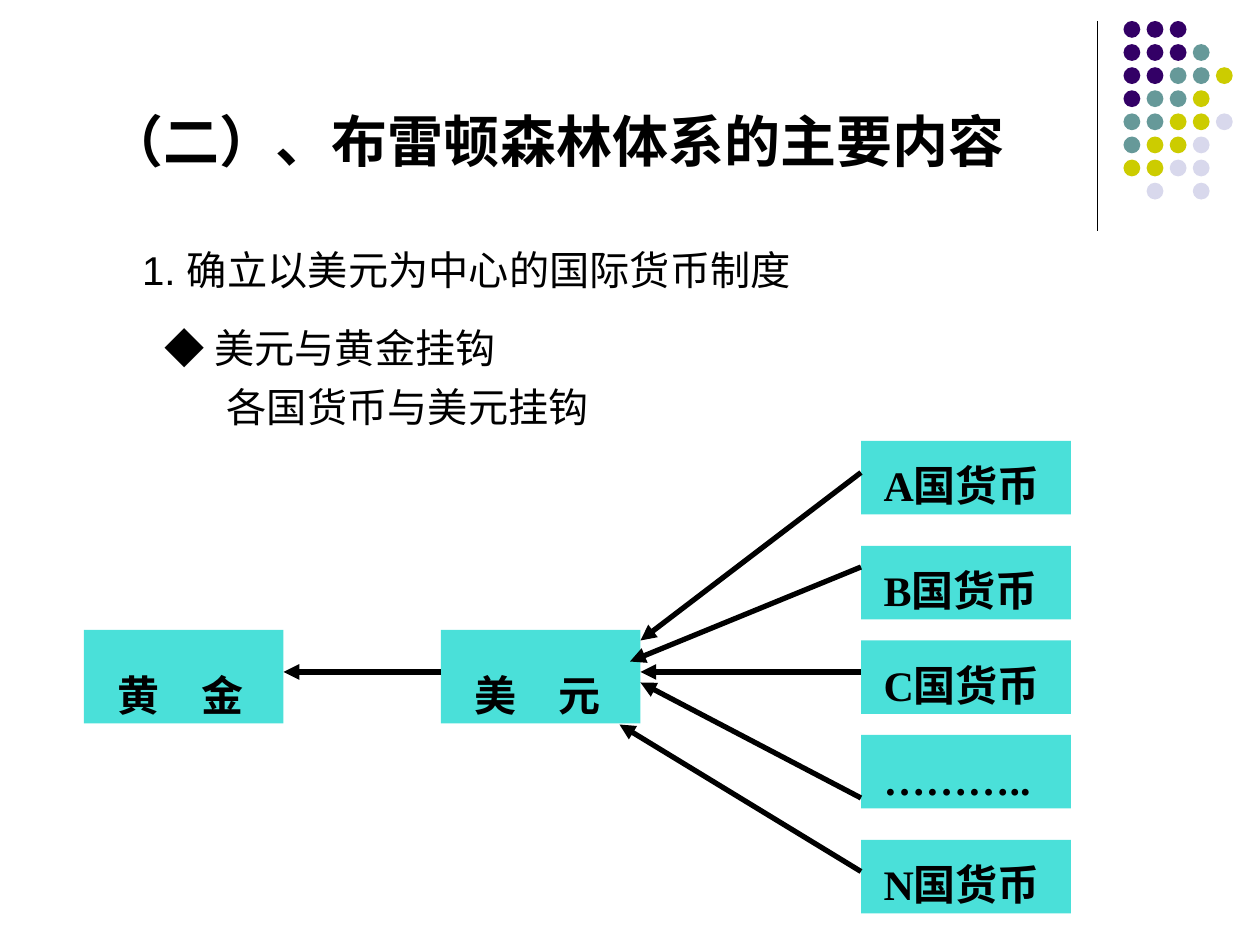
from lxml import etree
from pptx import Presentation
from pptx.dml.color import RGBColor
from pptx.enum.shapes import MSO_CONNECTOR, MSO_SHAPE
from pptx.enum.text import MSO_ANCHOR, PP_ALIGN
from pptx.oxml.ns import qn
from pptx.util import Inches, Pt

RECT, OVAL = MSO_SHAPE.RECTANGLE, MSO_SHAPE.OVAL
STRAIGHT = MSO_CONNECTOR.STRAIGHT
TOP, LEFT = MSO_ANCHOR.TOP, PP_ALIGN.LEFT

COLORS = {
    "ink": "000000",
    "box": "4AE0D9",
    "purple": "330066",
    "teal": "669999",
    "lime": "CCCC00",
    "pale": "D8D8EC",
}
SANS, JP, LATIN, SERIF = "Noto Sans CJK SC", "Noto Sans CJK JP", "Arial", "Times New Roman"
COLS, ROWS = 120, 90
DOT_COLORS = {"P": "purple", "T": "teal", "L": "lime", "W": "pale"}
DOTS = ["PPP", "PPPT", "PPTTL", "PTTL", "TTLLW", "TLLW", "LLWW", " W W"]


class Board:
    def __init__(self, prs):
        self.slide = prs.slides.add_slide(prs.slide_layouts[6])
        self.unit_x = prs.slide_width / COLS
        self.unit_y = prs.slide_height / ROWS

    def place(self, x, y, w, h):
        return (round(x * self.unit_x), round(y * self.unit_y),
                round(w * self.unit_x), round(h * self.unit_y))

    def color(self, name):
        return RGBColor.from_string(COLORS[name])

    def shape(self, kind, x, y, w, h, fill):
        sp = self.slide.shapes.add_shape(kind, *self.place(x, y, w, h))
        sp.shadow.inherit = False
        sp.fill.solid()
        sp.fill.fore_color.rgb = self.color(fill)
        sp.line.fill.background()
        return sp

    def frame(self, sp, left=0.1):
        tf = sp.text_frame
        tf.word_wrap = True
        tf.vertical_anchor = TOP
        tf.margin_left, tf.margin_right = Inches(left), 0
        tf.margin_top, tf.margin_bottom = Inches(0.07), 0
        return tf

    def set_text(self, p, text, size, font, bold=False, spacing=1):
        p.text = text
        p.alignment = LEFT
        p.line_spacing = Pt(round(size * 1.2 * spacing, 1))
        for r in p.runs:
            r.font.size = Pt(size)
            r.font.bold = bold
            r.font.color.rgb = self.color("ink")
            r.font.name = font
            ea = etree.SubElement(r._r.get_or_add_rPr(), qn("a:ea"))
            ea.set("typeface", JP if font == JP else SANS)

    def box(self, text, x, y, w, h, left, spacing):
        sp = self.shape(RECT, x, y, w, h, "box")
        p = self.frame(sp, left).paragraphs[0]
        self.set_text(p, text, 24, SERIF, True, spacing)

    def title(self, text, x, y, w, h):
        sp = self.slide.shapes.add_textbox(*self.place(x, y, w, h))
        p = self.frame(sp).paragraphs[0]
        self.set_text(p, text, 32, SANS, True, 1.2)

    def body(self, items, x, y, w, h):
        sp = self.slide.shapes.add_textbox(*self.place(x, y, w, h))
        tf = self.frame(sp)
        for i, (text, font, indent, before) in enumerate(items):
            p = tf.add_paragraph() if i else tf.paragraphs[0]
            self.set_text(p, text, 23, font)
            p.space_before = Pt(before)
            p._p.get_or_add_pPr().set("marL", str(Inches(indent)))

    def line(self, start, end, width, arrow=False):
        cn = self.slide.shapes.add_connector(STRAIGHT, *self.place(*start, *end))
        cn.line.color.rgb = self.color("ink")
        cn.line.width = Pt(width)
        sp_pr = cn._element.spPr
        if arrow:
            etree.SubElement(sp_pr.find(qn("a:ln")), qn("a:tailEnd"), type="triangle")
        etree.SubElement(sp_pr, qn("a:effectLst"))

    def dots(self, x, y, pitch, size):
        for row, marks in enumerate(DOTS):
            for col, mark in enumerate(marks):
                if mark in DOT_COLORS:
                    self.shape(OVAL, x + col * pitch, y + row * pitch,
                               size, size, DOT_COLORS[mark])


def main():
    prs = Presentation()
    prs.slide_width, prs.slide_height = Inches(10), Inches(7.5)
    board = Board(prs)

    board.line((104.5, 2), (104.5, 22), 0.75)
    board.dots(107, 2, 2.2, 1.6)
    board.title("（二）、布雷顿森林体系的主要内容", 9.1, 8, 87.8, 8.9)
    board.body([
        ("1. 确立以美元为中心的国际货币制度", LATIN, 0.53, 0),
        ("◆ 美元与黄金挂钩", JP, 0.71, 17.3),
        ("各国货币与美元挂钩", JP, 1.2, 5.8),
    ], 6, 22.5, 108, 24.6)

    for text, x in [("黄　金", 8), ("美　元", 42)]:
        board.box(text, x, 60, 19, 8.9, 0.27, 1.6)
    board.line((42, 64), (27, 64), 3, True)

    currencies = [
        ("A国货币", 42, 45, (61, 61)),
        ("B国货币", 52, 54, (60, 63)),
        ("C国货币", 61, 64, (61, 64)),
        ("………..", 70, 76, (61, 65)),
        ("N国货币", 80, 83, (59, 69)),
    ]
    for text, top, start, end in currencies:
        board.box(text, 82, top, 20, 7, 0.18, 1.2)
        board.line((82, start), end, 3, True)

    prs.save("out.pptx")


if __name__ == "__main__":
    main()
